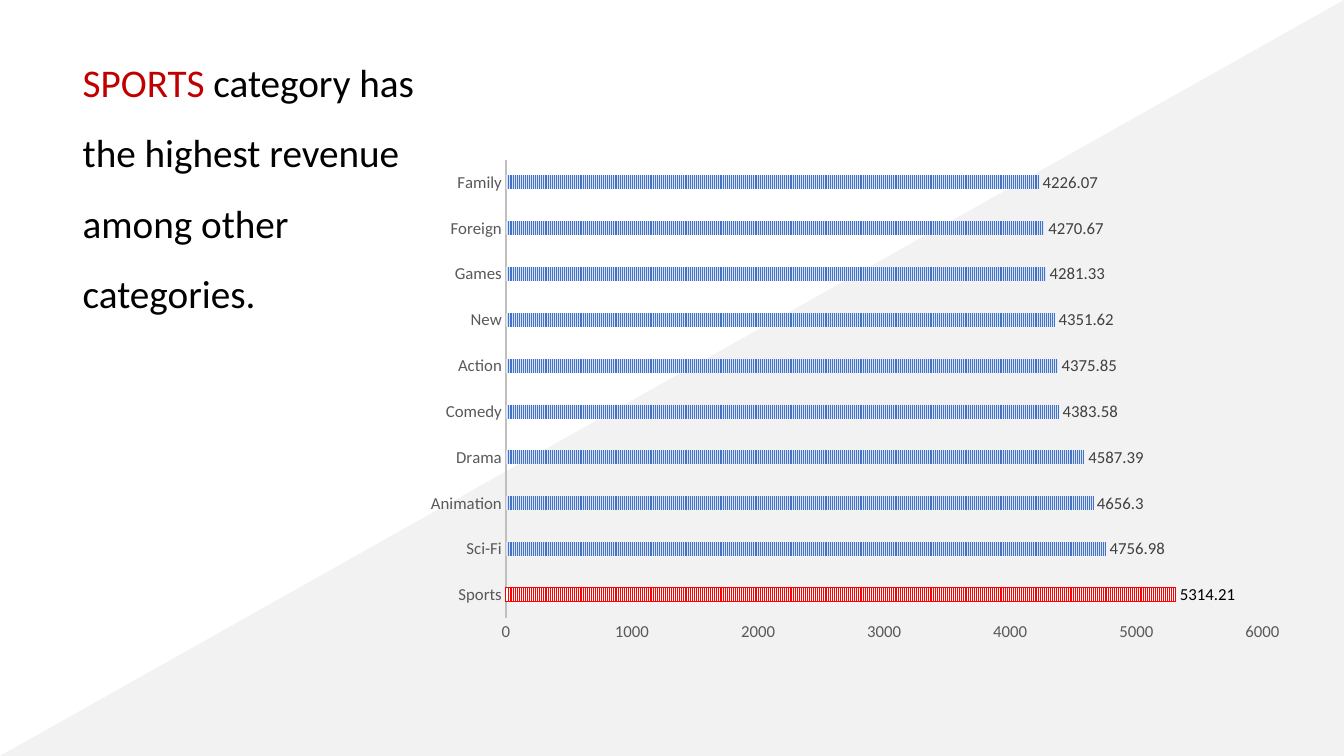
from lxml import etree
from pptx import Presentation
from pptx.chart.data import CategoryChartData
from pptx.dml.color import RGBColor
from pptx.enum import chart as ch, dml, shapes
from pptx.oxml.ns import qn
from pptx.util import Pt

FONT = "Calibri"
COLORS = {
    "backdrop": "F2F2F2", "text": "000000", "accent": "C00000",
    "axis_text": "595959", "axis_line": "BFBFBF", "label": "404040",
    "bar": "4472C4", "bar_back": "DAE3F3",
    "top_bar": "FF0000", "top_bar_back": "FFFFFF",
}
REVENUE = {
    "Sports": 5314.21, "Sci-Fi": 4756.98, "Animation": 4656.3,
    "Drama": 4587.39, "Comedy": 4383.58, "Action": 4375.85,
    "New": 4351.62, "Games": 4281.33, "Foreign": 4270.67, "Family": 4226.07,
}
PLOT_LAYOUT = {"x": 0.109, "y": 0.03, "w": 0.862, "h": 0.892}


def rgb(name):
    return RGBColor.from_string(COLORS[name])


def set_font(font, size, color):
    font.name = FONT
    font.size = Pt(size)
    font.color.rgb = rgb(color)


def add_span(para, text, *, size=28, color="text"):
    span = para.add_run()
    span.text = text
    set_font(span.font, size, color)


def add_backdrop(page, width, height):
    triangle = page.shapes.add_shape(
        shapes.MSO_SHAPE.ISOSCELES_TRIANGLE, 0, 0, width, height)
    triangle.adjustments[0] = 1
    triangle.shadow.inherit = False
    triangle.fill.solid()
    triangle.fill.fore_color.rgb = rgb("backdrop")
    triangle.line.fill.background()


def add_message(page):
    box = page.shapes.add_textbox(Pt(52), Pt(21), Pt(282), Pt(206))
    box.text_frame.word_wrap = True
    para = box.text_frame.paragraphs[0]
    para.line_spacing = 1.5
    add_span(para, "SPORTS ", color="accent")
    add_span(para, "category has the highest revenue among other categories.")


def fill_stripes(fill, front, back):
    fill.patterned()
    fill.pattern = dml.MSO_PATTERN.NARROW_VERTICAL
    fill.fore_color.rgb = rgb(front)
    fill.back_color.rgb = rgb(back)


def format_axis(axis):
    axis.has_major_gridlines = False
    axis.major_tick_mark = axis.minor_tick_mark = ch.XL_TICK_MARK.NONE
    set_font(axis.tick_labels.font, 12, "axis_text")


def place_plot(chart):
    """Fix the inner plot area as fractions of the chart frame."""
    plot_area = chart.element.find(".//" + qn("c:plotArea"))
    for old in plot_area.findall(qn("c:layout")):
        plot_area.remove(old)
    layout = etree.Element(qn("c:layout"))
    manual = etree.SubElement(layout, qn("c:manualLayout"))
    settings = {"layoutTarget": "inner", "xMode": "edge", "yMode": "edge", **PLOT_LAYOUT}
    for tag, value in settings.items():
        etree.SubElement(manual, qn("c:" + tag)).set("val", str(value))
    plot_area.insert(0, layout)


def add_revenue_chart(page):
    data = CategoryChartData()
    data.categories = list(REVENUE)
    data.add_series("Series 1", list(REVENUE.values()))
    chart = page.shapes.add_chart(
        ch.XL_CHART_TYPE.BAR_CLUSTERED,
        Pt(293), Pt(103), Pt(627), Pt(367), data).chart
    chart.has_legend = chart.has_title = False
    set_font(chart.font, 10, "text")
    place_plot(chart)

    format_axis(chart.category_axis)
    axis_line = chart.category_axis.format.line
    axis_line.color.rgb = rgb("axis_line")
    axis_line.width = Pt(1.5)
    format_axis(chart.value_axis)
    chart.value_axis.format.line.fill.background()
    chart.value_axis.minimum_scale = 0
    chart.value_axis.maximum_scale = 6000
    chart.value_axis.major_unit = 1000

    plot = chart.plots[0]
    plot.vary_by_categories = False
    plot.gap_width = 227
    plot.overlap = -48
    bars = plot.series[0]
    bars.invert_if_negative = False
    fill_stripes(bars.format.fill, "bar", "bar_back")
    bars.format.line.fill.background()
    labels = bars.data_labels
    labels.show_value = True
    labels.position = ch.XL_LABEL_POSITION.OUTSIDE_END
    set_font(labels.font, 12, "label")

    top_bar = bars.points[0]
    fill_stripes(top_bar.format.fill, "top_bar", "top_bar_back")
    top_bar.format.line.color.rgb = rgb("top_bar")
    set_font(top_bar.data_label.font, 12, "text")
    top_bar.data_label.position = ch.XL_LABEL_POSITION.OUTSIDE_END


def main():
    deck = Presentation()
    deck.slide_width, deck.slide_height = Pt(960), Pt(540)
    page = deck.slides.add_slide(deck.slide_layouts[6])
    add_backdrop(page, deck.slide_width, deck.slide_height)
    add_revenue_chart(page)
    add_message(page)
    deck.save("out.pptx")


if __name__ == "__main__":
    main()
